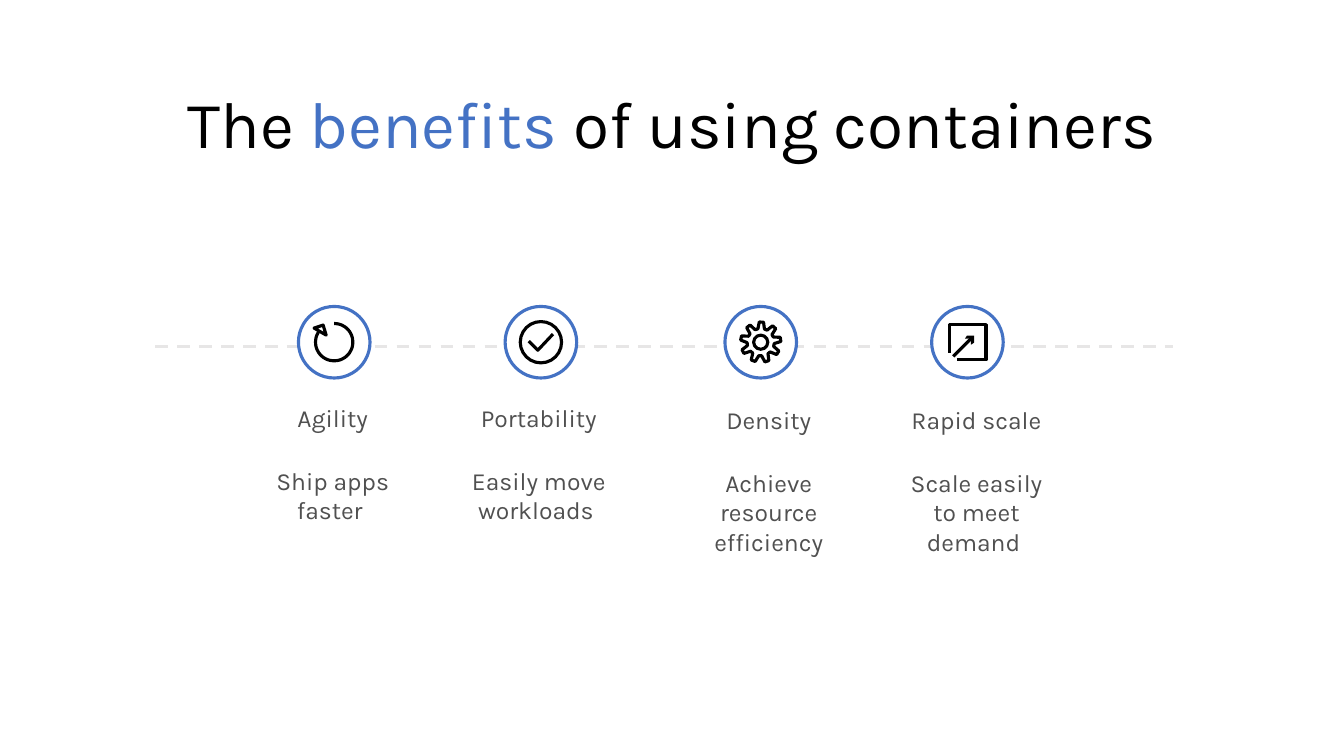
from math import cos, radians, sin

from lxml.etree import SubElement
from pptx import Presentation
from pptx.dml.color import RGBColor
from pptx.enum.dml import MSO_LINE
from pptx.enum.shapes import MSO_CONNECTOR, MSO_SHAPE
from pptx.enum.text import MSO_ANCHOR, PP_ALIGN
from pptx.oxml.ns import qn
from pptx.util import Inches, Pt

THEME = {
    "black": RGBColor.from_string("000000"),
    "white": RGBColor.from_string("FFFFFF"),
    "blue": RGBColor.from_string("4472C4"),
    "grey": RGBColor.from_string("505050"),
    "rail": RGBColor.from_string("E7E6E6"),
    "title": {"name": "Karla", "size": Pt(47)},
    "body": {"name": "Karla", "size": Pt(17.6)},
    "stroke": Pt(2.25),
}

# The slide is a grid of 1333 columns and 750 rows.
UNIT = Inches(0.01)
RING_TOP, RING_SIZE = 304, 71
RING_LEFT, PAIR_STEP, MEMBER_STEP = 296, 423, 205
TEXT_INSET = 16 * UNIT

# Heading, description, text left, text top, text width, text height
BENEFITS = [
    ("Agility", "Ship apps faster ", 234, 384, 192, 154),
    ("Portability", "Easily move workloads ", 446, 384, 177, 154),
    ("Density", "Achieve resource efficiency", 674, 386, 177, 183),
    ("Rapid scale", "Scale easily to meet demand ", 880, 386, 177, 183),
]

# Icon outlines in grid units from the ring centre: points, closed, line, fill
refresh_arc = [(18.5 * sin(radians(a)), -18.5 * cos(radians(a)))
               for a in range(0, 310, 5)]
gear = [(radius * cos(radians(40 * tooth - 8 + turn)),
         radius * sin(radians(40 * tooth - 8 + turn)))
        for tooth in range(9)
        for radius, turn in ((13.5, -14), (20, -6), (20, 6), (13.5, 14))]
ICON_PATHS = {
    "Agility": [
        (refresh_arc, False, "black", None),
        ([(-20, -14), (-11, -17), (-8, -7)], True, "black", "white"),
    ],
    "Portability": [([(12, -8), (-3, 8), (-12, -1)], False, "black", None)],
    "Density": [(gear, True, "black", None)],
    "Rapid scale": [
        ([(3.5, 2.5), (3.5, -3.5), (-2.5, -3.5), (-0.5, -6.5),
          (6.5, -6.5), (6.5, 0.5)], True, None, "black"),
        ([(-10.5, 17.5), (18.5, 17.5), (18.5, -17.5), (-17.5, -17.5),
          (-17.5, 10.5)], False, "black", None),
    ],
}
# Diameter and fill of the circles around each centre
CIRCLES = {"Portability": 41, "Density": 14}


def paint(shape, line=None, fill=None, dash=None):
    """Give a shape or connector its line and fill, with round joins and no shadow."""
    if hasattr(shape, "fill"):
        if fill:
            shape.fill.solid()
            shape.fill.fore_color.rgb = THEME[fill]
        else:
            shape.fill.background()
    if line:
        shape.line.color.rgb = THEME[line]
        shape.line.width = THEME["stroke"]
        if dash:
            shape.line.dash_style = dash
        SubElement(shape.line._get_or_add_ln(), qn("a:round"))
    else:
        shape.line.fill.background()
    SubElement(shape._element.spPr, qn("a:effectLst"))


def add_run(paragraph, text, style, colour):
    run = paragraph.add_run()
    run.text = text
    for attribute, value in THEME[style].items():
        setattr(run.font, attribute, value)
    run.font.color.rgb = THEME[colour]


presentation = Presentation()
presentation.slide_width = 1333 * UNIT
presentation.slide_height = 750 * UNIT
slide = presentation.slides.add_slide(presentation.slide_layouts[6])
shapes = slide.shapes

rail = shapes.add_connector(MSO_CONNECTOR.STRAIGHT, 154 * UNIT, 344 * UNIT,
                            1163 * UNIT, 344 * UNIT)
paint(rail, "rail", dash=MSO_LINE.DASH)

title = shapes.add_textbox(29 * UNIT, 77 * UNIT, 1275 * UNIT, 98 * UNIT)
title.text_frame.word_wrap = True
title.text_frame.vertical_anchor = MSO_ANCHOR.MIDDLE
paragraph = title.text_frame.paragraphs[0]
paragraph.alignment = PP_ALIGN.CENTER
paragraph.line_spacing = 0.9
for text, colour in (("The", "black"), (" benefits ", "blue"),
                     ("of using containers", "black")):
    add_run(paragraph, text, "title", colour)

for index, (heading, description, left, top, width, height) in enumerate(BENEFITS):
    text_box = shapes.add_textbox(left * UNIT, top * UNIT, width * UNIT, height * UNIT)
    frame = text_box.text_frame
    frame.word_wrap = True
    for side in ("left", "top", "right", "bottom"):
        setattr(frame, f"margin_{side}", TEXT_INSET)
    for paragraph, text in ((frame.paragraphs[0], heading),
                            (frame.add_paragraph(), description)):
        paragraph.alignment = PP_ALIGN.CENTER
        paragraph.space_after = Pt(23.5)
        add_run(paragraph, text, "body", "grey")

    pair, member = divmod(index, 2)
    ring_left = RING_LEFT + PAIR_STEP * pair + MEMBER_STEP * member
    centre_x = int((ring_left + RING_SIZE / 2) * UNIT)
    centre_y = int((RING_TOP + RING_SIZE / 2) * UNIT)

    circles = [(RING_SIZE, "blue", "white")]
    if heading in CIRCLES:
        circles.append((CIRCLES[heading], "black", None))
    for diameter, line, fill in circles:
        size = diameter * UNIT
        circle = shapes.add_shape(MSO_SHAPE.OVAL, centre_x - size // 2,
                                  centre_y - size // 2, size, size)
        paint(circle, line, fill)

    if heading == "Rapid scale":
        arrow_shaft = shapes.add_connector(
            MSO_CONNECTOR.STRAIGHT, centre_x - 14 * UNIT, centre_y + 14 * UNIT,
            centre_x + 4 * UNIT, centre_y - 4 * UNIT)
        paint(arrow_shaft, "black")

    for points, closed, line, fill in ICON_PATHS[heading]:
        fine_points = [(10 * x, 10 * y) for x, y in points]
        builder = shapes.build_freeform(*fine_points[0], scale=UNIT / 10)
        builder.add_line_segments(fine_points[1:], close=closed)
        paint(builder.convert_to_shape(centre_x, centre_y), line, fill)

presentation.save("out.pptx")
